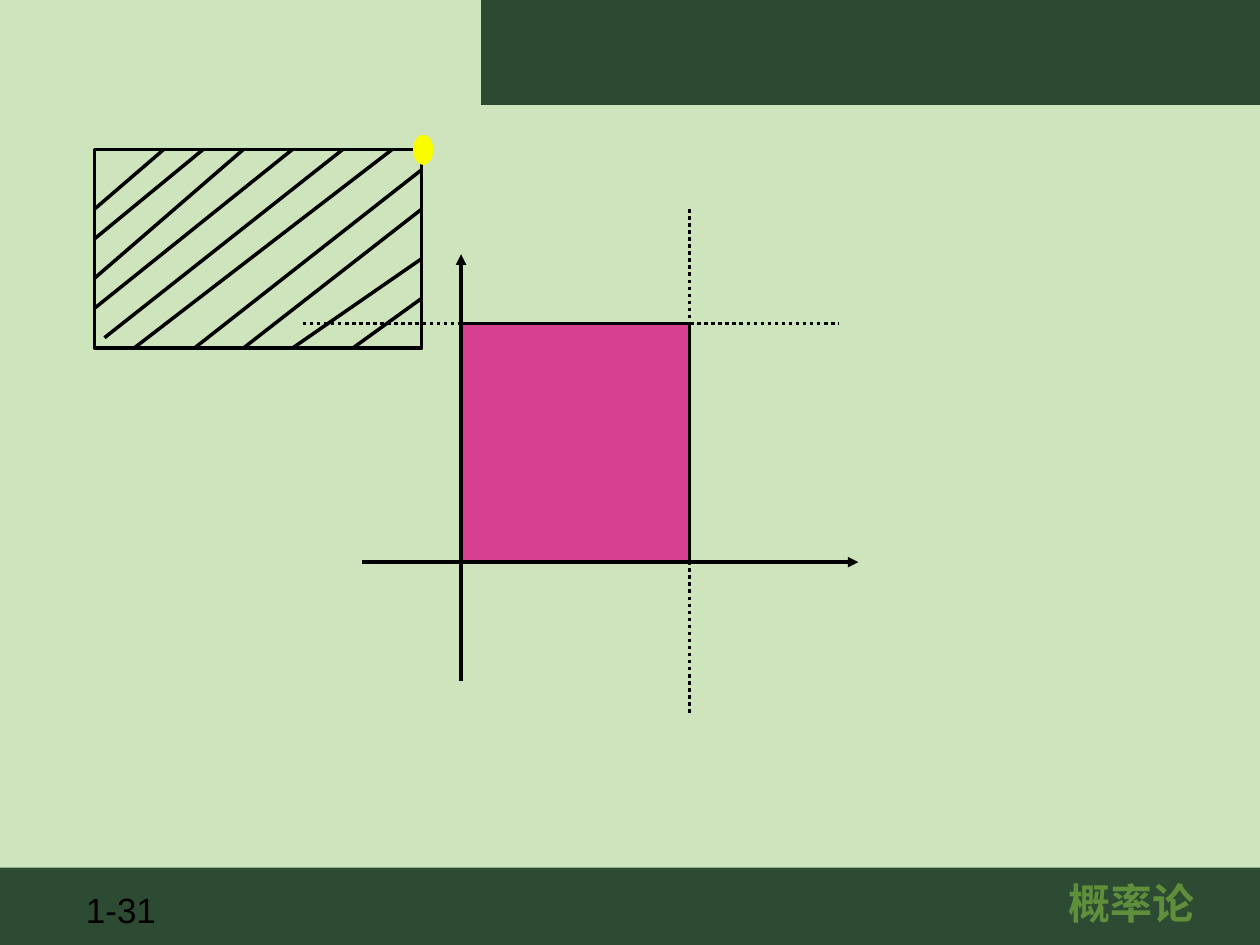
from lxml import etree
from pptx import Presentation
from pptx import util as u
from pptx.dml.color import RGBColor
from pptx.enum import dml, shapes, text
from pptx.oxml.ns import qn

Pt = u.Pt
BLACK = "000000"


def color(hex_string):
    return RGBColor.from_string(hex_string)


def add_line(parent, start, end, dotted=False, arrow=False):
    line = parent.add_connector(shapes.MSO_CONNECTOR.STRAIGHT,
                                *[Pt(value) for value in (*start, *end)])
    line.line.color.rgb = color(BLACK)
    line.line.width = Pt(2)
    if dotted:
        line.line.dash_style = dml.MSO_LINE.ROUND_DOT
    if arrow:
        etree.SubElement(line.line._get_or_add_ln(), qn("a:tailEnd"), type="triangle")
    etree.SubElement(line._element.spPr, qn("a:effectLst"))


presentation = Presentation()
presentation.slide_width, presentation.slide_height = Pt(720), Pt(540)
slide = presentation.slides.add_slide(presentation.slide_layouts[6])
slide.background.fill.solid()
slide.background.fill.fore_color.rgb = color("CDE4BC")

# Footer and header bands
for left, top, width, height, fill in [(0, 495.8, 720, 45.4, "2D4B33"),
                                       (275, 0, 445, 60, "2C4A32")]:
    band = slide.shapes.add_shape(shapes.MSO_SHAPE.RECTANGLE,
                                  Pt(left), Pt(top), Pt(width), Pt(height))
    band.shadow.inherit = False
    band.fill.solid()
    band.fill.fore_color.rgb = color(fill)
    band.line.fill.background()

# Page number and course name
for words, left, top, width, height, size, hex_color, bold, align in [
        ("1-31", 42, 504, 56, 31, 20, BLACK, False, text.PP_ALIGN.LEFT),
        ("概率论", 535.5, 498.2, 222.5, 36, 24, "5F8F3B", True, text.PP_ALIGN.CENTER)]:
    box = slide.shapes.add_textbox(Pt(left), Pt(top), Pt(width), Pt(height))
    box.text_frame.word_wrap = True
    paragraph = box.text_frame.paragraphs[0]
    paragraph.text = words
    paragraph.alignment = align
    paragraph.font.name = "Arial"
    paragraph.font.size = Pt(size)
    paragraph.font.bold = bold
    paragraph.font.color.rgb = color(hex_color)

# Axes and dotted limits
origin_x, origin_y, limit_x, limit_y = 263.5, 321.2, 394, 185
add_line(slide.shapes, (206.8, origin_y), (490.5, origin_y), arrow=True)
add_line(slide.shapes, (origin_x, 389), (origin_x, 145.3), arrow=True)
add_line(slide.shapes, (limit_x, 119.5), (limit_x, 409), dotted=True)
add_line(slide.shapes, (173, limit_y), (479, limit_y), dotted=True)

# Translucent square between the axes and the limits
square = slide.shapes.add_shape(shapes.MSO_SHAPE.RECTANGLE, Pt(origin_x), Pt(limit_y),
                                Pt(limit_x - origin_x), Pt(origin_y - limit_y))
square.shadow.inherit = False
square.fill.solid()
square.fill.fore_color.rgb = color("DC0081")
square_color = square._element.spPr.find(qn("a:solidFill"))[0]
etree.SubElement(square_color, qn("a:alpha"), val="72000")
square.line.color.rgb = color(BLACK)
square.line.width = Pt(2)

# Hatched region
left, top, right, bottom = 54, 85.5, 241, 199
region = slide.shapes.add_group_shape().shapes
frame = region.add_shape(shapes.MSO_SHAPE.RECTANGLE, Pt(left), Pt(top),
                         Pt(right - left), Pt(bottom - top))
frame.shadow.inherit = False
frame.fill.background()
frame.line.color.rgb = color(BLACK)
frame.line.width = Pt(2)

hatching = [
    ((93.5, top), (left, 119.5)), ((116, top), (left, 136.5)),
    ((139, top), (left, 159)), ((167, top), (left, 176.2)),
    ((195.8, top), (59.7, 193)), ((224, top), (76.5, bottom)),
    ((right, 97), (111, bottom)), ((right, 119.5), (139, bottom)),
    ((right, 147.8), (167, bottom)), ((right, 170.5), (201.5, bottom)),
]
for start, end in hatching:
    add_line(region, start, end)

# Corner point
corner = region.add_shape(shapes.MSO_SHAPE.OVAL, Pt(236), Pt(77), Pt(11.6), Pt(17.2))
corner.shadow.inherit = False
corner.fill.solid()
corner.fill.fore_color.rgb = color("FAFD00")
corner.line.fill.background()

presentation.save("out.pptx")
